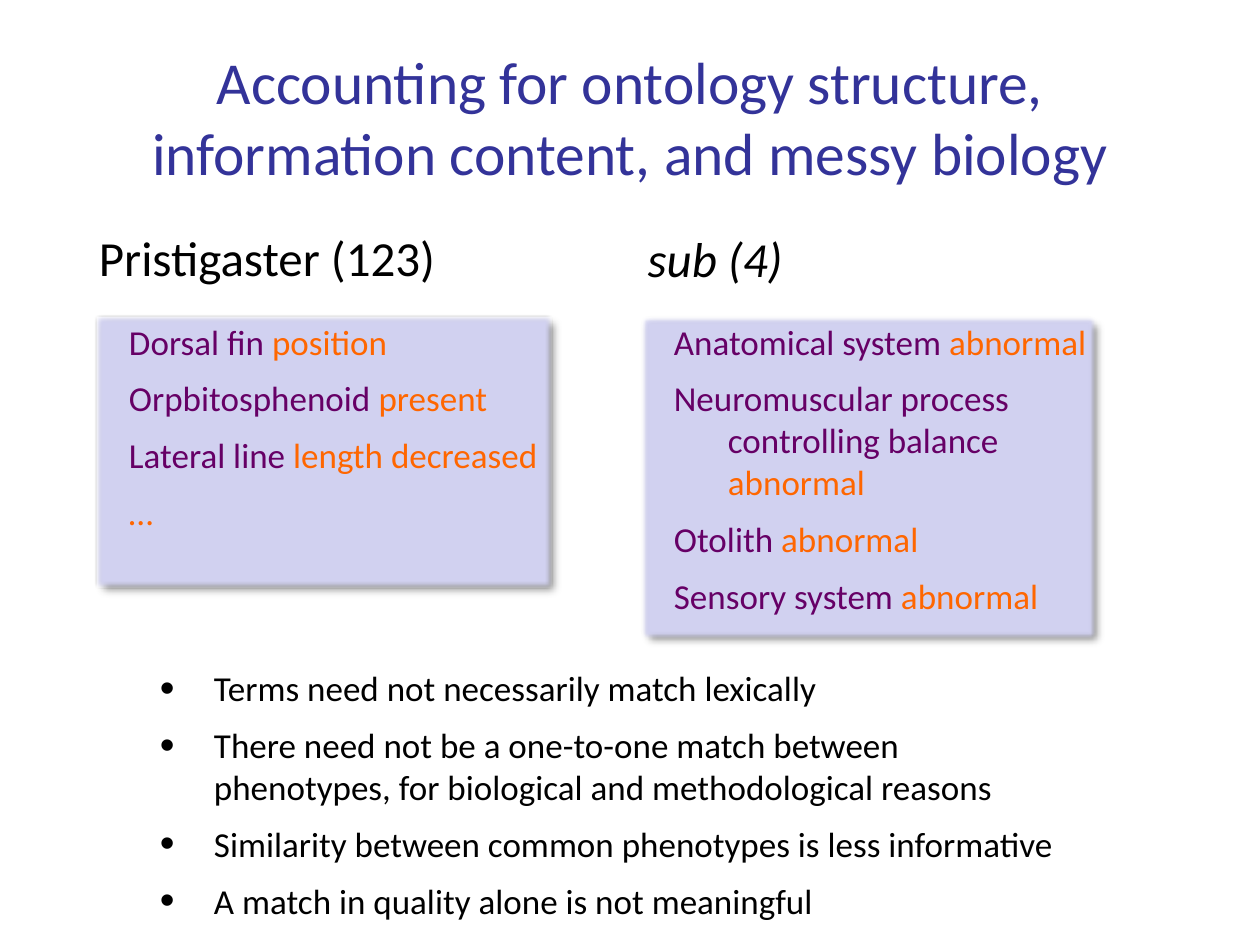
"""Build a slide comparing phenotype lists for a taxon and a gene."""
from pptx import Presentation
from pptx.dml.color import RGBColor
from pptx.enum.shapes import MSO_SHAPE
from pptx.enum.text import MSO_ANCHOR, MSO_AUTO_SIZE, PP_ALIGN
from pptx.oxml import parse_xml
from pptx.util import Pt

PX = 914400 // 126
NS = 'xmlns:a="http://schemas.openxmlformats.org/drawingml/2006/main"'
THEME = {
    "font": "Calibri", "title": 34, "head": 28, "text": 20,
    "navy": "333399", "black": "000000", "panel": "D1D1F0",
    "term": "660066", "state": "FF6600",
}


def add_run(para, text, size, color, italic=None):
    run = para.add_run()
    run.text = text
    font = run.font
    font.name = THEME["font"]
    font.size = Pt(THEME[size])
    font.color.rgb = RGBColor.from_string(THEME[color])
    font.italic = italic


def add_list(frame, rows, bullet=False):
    frame.word_wrap = True
    frame.auto_size = MSO_AUTO_SIZE.NONE
    frame.vertical_anchor = MSO_ANCHOR.TOP
    frame.margin_left = frame.margin_right = 5 * PX
    frame.margin_top = frame.margin_bottom = 5 * PX
    for i, row in enumerate(rows):
        para = frame.paragraphs[0] if i == 0 else frame.add_paragraph()
        para.alignment = PP_ALIGN.LEFT
        para.space_before = Pt(8.4)
        props = para._p.get_or_add_pPr()
        props.set("marL", str(83 * PX))
        props.set("indent", str(-54 * PX))
        marks = ['<a:buNone %s/>']
        if bullet:
            marks = ['<a:buSzPct %s val="120000"/>',
                     '<a:buFont %s typeface="Arial"/>',
                     '<a:buChar %s char="•"/>']
        for mark in marks:
            props.append(parse_xml(mark % NS))
        for text, color in row:
            add_run(para, text, "text", color)


deck = Presentation()
deck.slide_width, deck.slide_height = 1260 * PX, 945 * PX
slide = deck.slides.add_slide(deck.slide_layouts[1])
shapes = slide.shapes

title = shapes.title
title.left, title.top, title.width, title.height = [n * PX for n in (105, 15, 1050, 203)]
frame = title.text_frame
frame.auto_size = MSO_AUTO_SIZE.NONE
frame.vertical_anchor = MSO_ANCHOR.MIDDLE
frame.margin_left = frame.margin_right = 5 * PX
frame.margin_top = frame.margin_bottom = 5 * PX
frame.paragraphs[0].alignment = PP_ALIGN.CENTER
add_run(frame.paragraphs[0],
        "Accounting for ontology structure, information content, and messy biology",
        "title", "navy")

taxon = slide.placeholders[1]
taxon.left, taxon.top, taxon.width, taxon.height = [n * PX for n in (95, 315, 457, 273)]
gene = shapes.add_shape(MSO_SHAPE.RECTANGLE, *[n * PX for n in (640, 315, 457, 325)])
panels = [
    (taxon, [("Dorsal fin ", "position"), ("Orpbitosphenoid ", "present"),
             ("Lateral line ", "length decreased"), ("", "…")]),
    (gene, [("Anatomical system ", "abnormal"),
            ("Neuromuscular process controlling balance ", "abnormal"),
            ("Otolith ", "abnormal"), ("Sensory system ", "abnormal")]),
]
for panel, pairs in panels:
    panel.fill.solid()
    panel.fill.fore_color.rgb = RGBColor.from_string(THEME["panel"])
    panel.line.color.rgb = RGBColor.from_string(THEME["black"])
    panel.line.width = Pt(1)
    panel.element.spPr.append(parse_xml(
        f'<a:effectLst {NS}><a:outerShdw blurRad="50800" dist="50800" dir="2700000" '
        f'algn="tl" rotWithShape="0"><a:srgbClr val="{THEME["black"]}">'
        '<a:alpha val="43000"/></a:srgbClr></a:outerShdw>'
        '<a:softEdge rad="31750"/></a:effectLst>'))
    add_list(panel.text_frame,
             [[(text, color) for text, color in zip(pair, ("term", "state")) if text]
              for pair in pairs])

notes = shapes.add_textbox(*[n * PX for n in (126, 662, 945, 243)])
points = [
    "Terms need not necessarily match lexically",
    "There need not be a one-to-one match between phenotypes, "
    "for biological and methodological reasons",
    "Similarity between common phenotypes is less informative",
    "A match in quality alone is not meaningful",
]
add_list(notes.text_frame, [[(point, "black")] for point in points], bullet=True)

heads = [("Pristigaster (123)", 83, 221, 368, None), ("sub (4)", 630, 222, 170, True)]
for text, left, top, width, italic in heads:
    box = shapes.add_textbox(left * PX, top * PX, width * PX, 72 * PX)
    frame = box.text_frame
    frame.word_wrap = False
    frame.auto_size = MSO_AUTO_SIZE.SHAPE_TO_FIT_TEXT
    frame.paragraphs[0].alignment = PP_ALIGN.CENTER
    add_run(frame.paragraphs[0], text, "head", "black", italic)

deck.save("out.pptx")
